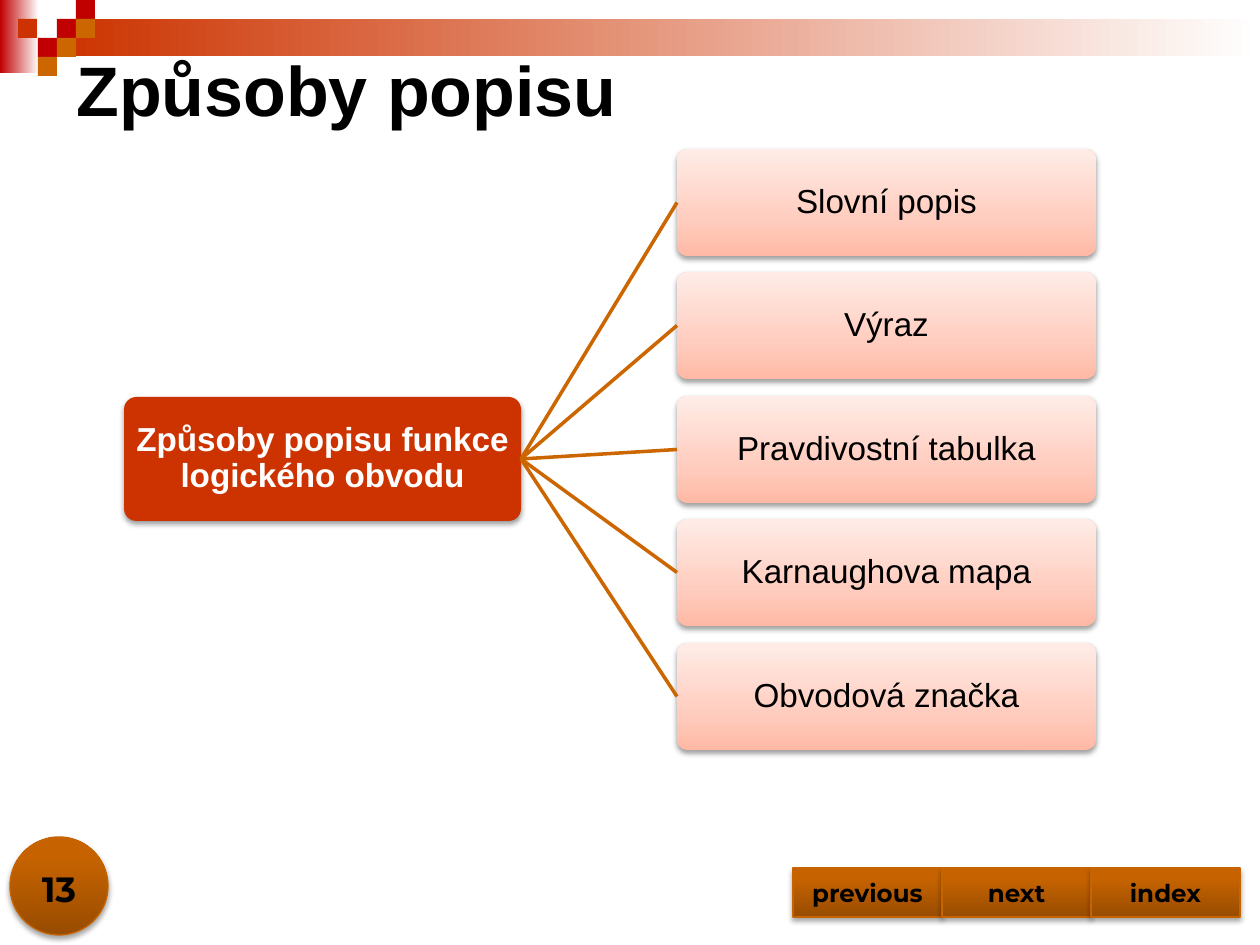
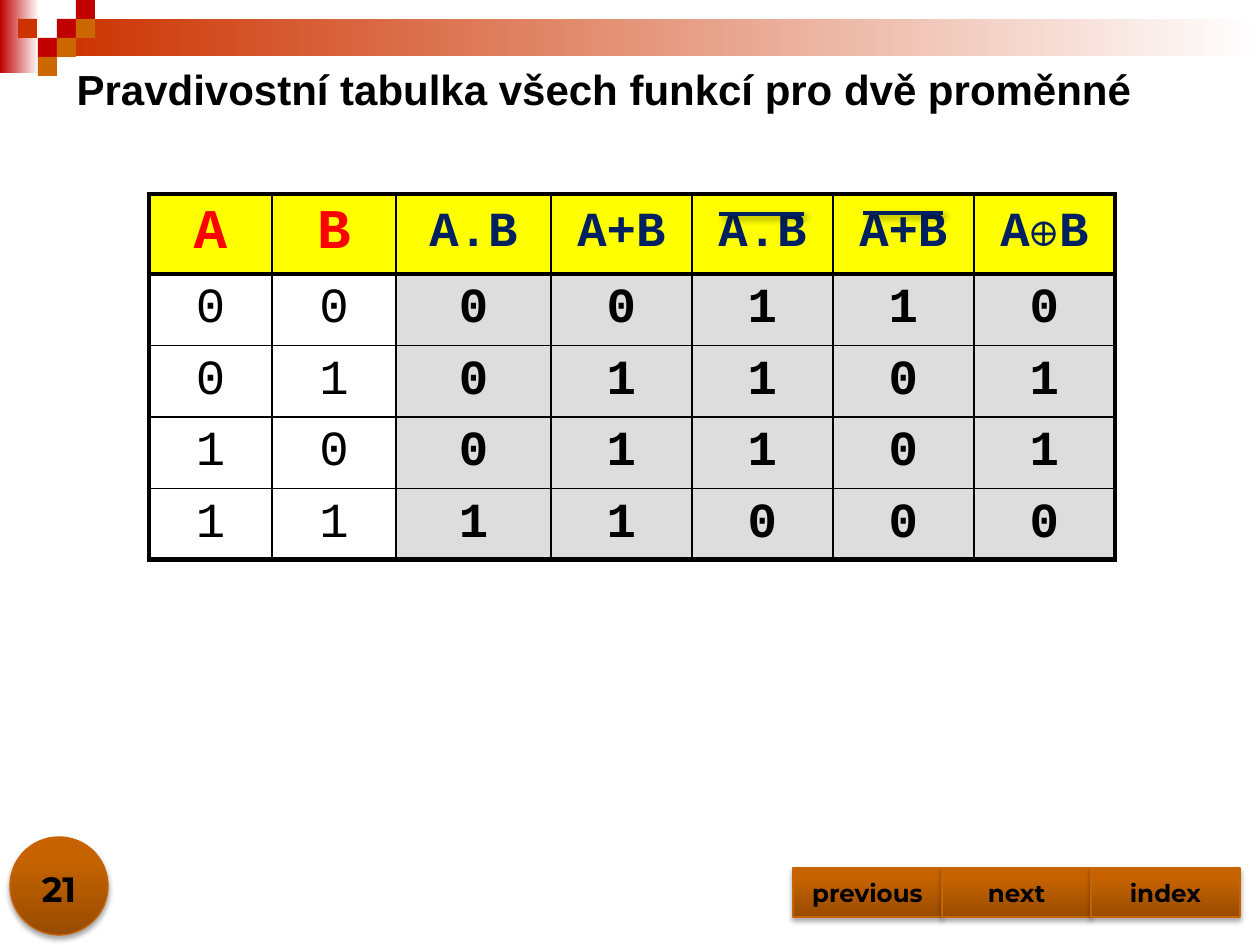
"""Build two slides on describing logic functions: a tree of methods and a truth table."""
from itertools import product

from lxml.etree import SubElement
from pptx import Presentation
from pptx.dml.color import RGBColor
from pptx.enum.shapes import MSO_CONNECTOR as Link, MSO_SHAPE as Preset
from pptx.enum.text import MSO_ANCHOR as Anchor, PP_ALIGN as Align
from pptx.oxml.ns import qn
from pptx.util import Emu, Pt

EMU_PER_INCH, PX_PER_INCH = 914400, 126
COLORS = {
    "black": "000000", "white": "FFFFFF", "crimson": "C00000", "brick": "CC3300",
    "amber": "CC6600", "amber_edge": "C86400", "amber_dark": "984C00",
    "amber_mid": "C66300", "amber_light": "C76300", "peach": "FFB9A5",
    "peach_mid": "FFCDBF", "peach_light": "FFECE7", "yellow": "FFFF00",
    "red": "FF0000", "navy": "002060", "gray": "DDDDDD",
}
AMBER_GLOSS = (270, (0, "amber_dark"), (80, "amber_mid"), (100, "amber_light"))
PEACH_GLOSS = (270, (0, "peach"), (35, "peach_mid"), (100, "peach_light"))
BUTTON_SHADOW = (35, 3.1, 1.8, 90)
NODE_SHADOW = (38, 3.1, 1.6, 90)
OVERLINE_SHADOW = (40, 4, 3, 45)
CORNER_SQUARES = (
    (57, 19, "crimson"), (76, 0, "crimson"), (76, 19, "amber"), (38, 38, "crimson"),
    (18, 19, "brick"), (57, 38, "amber"), (38, 57, "amber"),
)
METHODS = ("Slovní popis", "Výraz", "Pravdivostní tabulka", "Karnaughova mapa",
           "Obvodová značka")
HEADINGS = ("A", "B", "A.B", "A+B", "A.B", "A+B", "A⊕B")
COLUMN_WIDTHS = (123, 124, 155, 141, 141, 141, 141)
ROW_HEIGHTS = (75, 70, 70, 70, 70)


def px(*lengths):
    """Turn pixel lengths into a list of EMU lengths."""
    return [Emu(round(length * EMU_PER_INCH / PX_PER_INCH)) for length in lengths]


def rgb(name):
    """Look up a palette colour."""
    return RGBColor.from_string(COLORS[name])


def write(frame, text, *, size, color="black", font="Arial", bold=True,
          align=Align.CENTER, anchor=Anchor.MIDDLE, margin=None, spacing=None):
    """Put one formatted paragraph into a text frame."""
    frame.word_wrap = True
    frame.vertical_anchor = anchor
    if margin is not None:
        frame.margin_left, frame.margin_top, frame.margin_right, frame.margin_bottom = (
            px(margin) * 4)
    paragraph = frame.paragraphs[0]
    paragraph.alignment = align
    if spacing:
        paragraph.line_spacing = spacing
    run = paragraph.add_run()
    run.text = text
    run.font.name, run.font.size, run.font.bold = font, Pt(size), bold
    run.font.color.rgb = rgb(color)


def paint(fill, paint_spec):
    """Fill with a palette colour or with an (angle, stop, ...) gradient."""
    if isinstance(paint_spec, str):
        fill.solid()
        fill.fore_color.rgb = rgb(paint_spec)
        return
    angle, *stops = paint_spec
    fill.gradient()
    fill.gradient_angle = -angle % 360
    stop_list = fill.gradient_stops[0]._gs.getparent()
    stop_list.clear()
    for position, color in stops:
        stop = SubElement(stop_list, qn("a:gs"), pos=str(position * 1000))
        SubElement(stop, qn("a:srgbClr"), val=COLORS[color])


def cast_shadow(effects, opacity, blur, distance, angle):
    """Add an outer black shadow to an effect list."""
    outer = SubElement(effects, qn("a:outerShdw"), blurRad=str(Pt(blur)),
                       dist=str(Pt(distance)), dir=str(angle * 60000), rotWithShape="0")
    color = SubElement(outer, qn("a:srgbClr"), val=COLORS["black"])
    SubElement(color, qn("a:alpha"), val=str(opacity * 1000))


def add_block(slide, preset, box, fill, *, edge=None, shadow=None):
    """Add a filled preset shape."""
    block = slide.shapes.add_shape(preset, *px(*box))
    block.shadow.inherit = False
    paint(block.fill, fill)
    if edge:
        block.line.color.rgb = rgb(edge)
        block.line.width = Pt(0.75)
    else:
        block.line.fill.background()
    if shadow:
        cast_shadow(block.element.spPr.find(qn("a:effectLst")), *shadow)
    return block


def add_stroke(slide, ends, color, width, shadow=None):
    """Add a straight connector."""
    stroke = slide.shapes.add_connector(Link.STRAIGHT, *px(*ends))
    stroke.line.color.rgb = rgb(color)
    stroke.line.width = Pt(width)
    effects = SubElement(stroke.element.spPr, qn("a:effectLst"))
    if shadow:
        cast_shadow(effects, *shadow)
    return stroke


def add_node(slide, text, box, fill, **text_format):
    """Add one rounded box of the tree."""
    node = add_block(slide, Preset.ROUNDED_RECTANGLE, box, fill, shadow=NODE_SHADOW)
    node.adjustments[0] = 0.1
    write(node.text_frame, text, size=19, margin=1, spacing=0.9, **text_format)
    return node


def add_framed_slide(deck, heading, heading_size, number):
    """Add a slide with the shared band, title, page number and buttons."""
    slide = deck.slides.add_slide(deck.slide_layouts[5])
    add_block(slide, Preset.RECTANGLE, (0, 0, 39, 73),
              (0, (0, "crimson"), (100, "white")))
    add_block(slide, Preset.RECTANGLE, (57, 19, 1203, 37),
              (0, (0, "brick"), (100, "white")))
    for left, top, color in CORNER_SQUARES:
        add_block(slide, Preset.RECTANGLE, (left, top, 19, 19), color)

    title = slide.shapes.title
    title.element.getparent().append(title.element)
    title.left, title.top, title.width, title.height = px(64, 39, 1196, 100)
    write(title.text_frame, heading, size=heading_size, align=Align.LEFT)

    for place, label in enumerate(("previous", "next", "index")):
        button = add_block(slide, Preset.ACTION_BUTTON_CUSTOM,
                           (793 + 149 * place, 868, 149, 49), AMBER_GLOSS,
                           edge="amber_edge", shadow=BUTTON_SHADOW)
        write(button.text_frame, label, size=14, font="Montserrat")
    add_block(slide, Preset.OVAL, (10, 837, 98, 98), AMBER_GLOSS,
              edge="amber_edge", shadow=BUTTON_SHADOW)
    page_number = slide.shapes.add_textbox(*px(0, 853, 118, 63))
    write(page_number.text_frame, str(number), size=20, font="Montserrat",
          anchor=Anchor.BOTTOM)
    return slide


def add_method_tree(slide):
    """Draw the root topic joined to its description methods."""
    root = add_node(slide, "Způsoby popisu funkce logického obvodu",
                    (124, 397, 397, 124), "brick", color="white")
    for place, method in enumerate(METHODS):
        branch = add_node(slide, method, (677, 149 + 247 * place // 2, 419, 107),
                          PEACH_GLOSS, bold=False)
        link = add_stroke(slide, (0, 0, 0, 0), "amber", 2)
        link.begin_connect(root, 3)
        link.end_connect(branch, 1)


def set_borders(cell, **widths):
    """Give a cell black borders, named by side, in points."""
    properties = cell._tc.get_or_add_tcPr()
    for side, width in widths.items():
        border = SubElement(properties, qn(f"a:ln{side}"), w=str(Pt(width)))
        color = SubElement(border, qn("a:solidFill"))
        SubElement(color, qn("a:srgbClr"), val=COLORS["black"])


def add_truth_table(slide):
    """Draw the truth table of the two-variable functions."""
    rows = [HEADINGS] + [
        (a, b, a & b, a | b, 1 - (a & b), 1 - (a | b), a ^ b)
        for a, b in product((0, 1), repeat=2)
    ]
    last_row, last_column = len(rows) - 1, len(HEADINGS) - 1
    table = slide.shapes.add_table(
        len(rows), len(HEADINGS),
        *px(149, 194, sum(COLUMN_WIDTHS), sum(ROW_HEIGHTS))).table
    table.first_row = table.horz_banding = False
    for column, width in zip(table.columns, px(*COLUMN_WIDTHS)):
        column.width = width
    for row, height in zip(table.rows, px(*ROW_HEIGHTS)):
        row.height = height

    for r, values in enumerate(rows):
        for c, value in enumerate(values):
            cell = table.cell(r, c)
            is_heading, is_input = r == 0, c < 2
            set_borders(cell, L=3 if c == 0 else 1.5, R=3 if c == last_column else 1.5,
                        T=3 if r < 2 else 1, B=3 if r in (0, last_row) else 1)
            paint(cell.fill, "yellow" if is_heading else "white" if is_input else "gray")
            heading_color = "red" if is_input else "navy"
            write(cell.text_frame, str(value), font="Courier New",
                  size=32 if is_heading and is_input else 28,
                  color=heading_color if is_heading else "black",
                  bold=is_heading or not is_input)
            cell.vertical_anchor = Anchor.MIDDLE


def main():
    """Build and save the deck."""
    deck = Presentation()
    deck.slide_width, deck.slide_height = px(1260, 945)

    add_method_tree(add_framed_slide(deck, "Způsoby popisu", 40, 13))

    functions = add_framed_slide(
        deck, "Pravdivostní tabulka všech funkcí pro dvě proměnné", 24, 21)
    add_truth_table(functions)
    for left, right, height in ((719, 804, 214), (863, 943, 213)):
        add_stroke(functions, (left, height, right, height), "navy", 2.25,
                   OVERLINE_SHADOW)

    deck.save("out.pptx")


if __name__ == "__main__":
    main()
